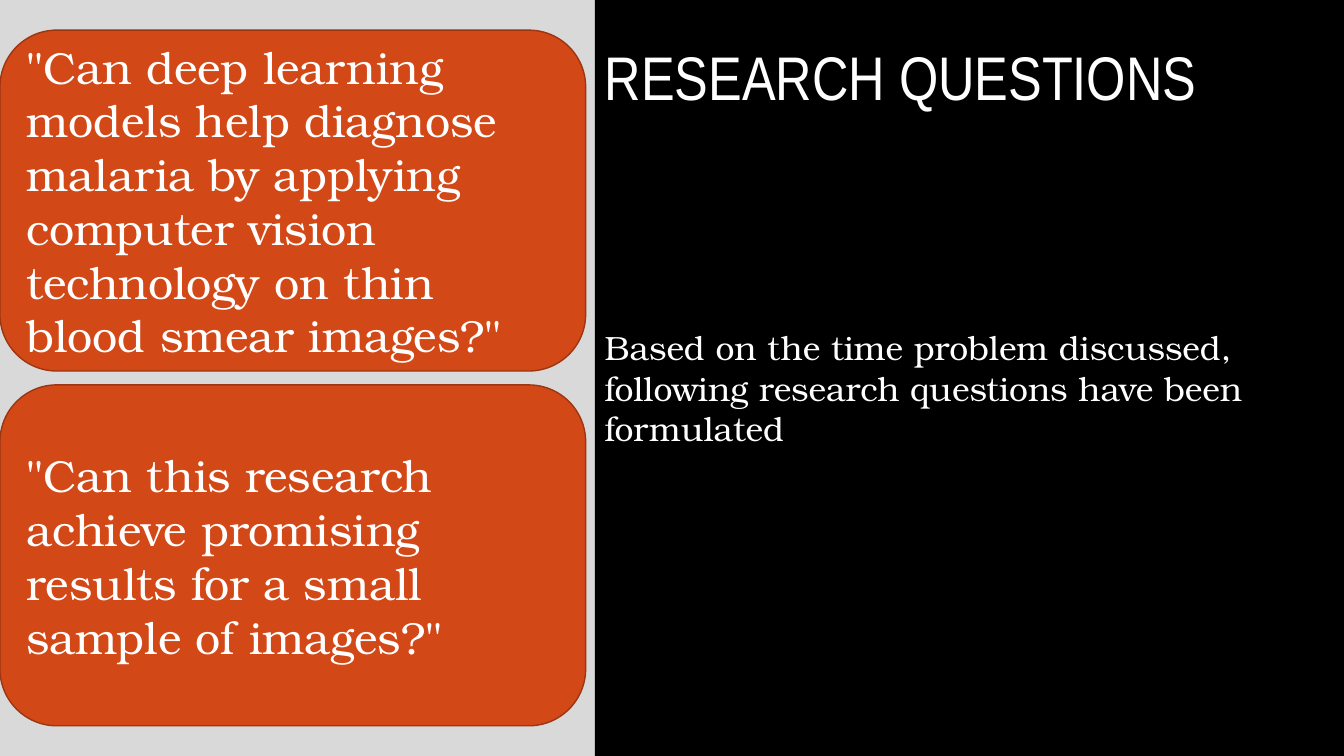
"""Build the research questions slide."""
from dataclasses import dataclass

from pptx import Presentation
from pptx.dml.color import RGBColor
from pptx.enum import shapes, text
from pptx.slide import Slide
from pptx.util import Cm, Pt

BLACK = RGBColor(0x00, 0x00, 0x00)
WHITE = RGBColor(0xFF, 0xFF, 0xFF)
GREY = RGBColor(0xD9, 0xD9, 0xD9)
ORANGE = RGBColor(0xD3, 0x48, 0x17)
RUST = RGBColor(0x9C, 0x35, 0x11)
SERIF = "TeX Gyre Bonum"
PAGE_WIDTH, PAGE_HEIGHT = 33.87, 19.05
PANEL_LEFT, TITLE_HEIGHT = 14.99, 4.06
CARD_TOP, CARD_WIDTH, CARD_HEIGHT, CARD_PITCH = 0.76, 14.76, 8.59, 8.94
QUESTIONS = (
    '"Can deep learning models help diagnose malaria by applying '
    'computer vision technology on thin blood smear images?"',
    '"Can this research achieve promising results for a small sample of images?"',
)


@dataclass
class Panel:
    """A filled shape with one paragraph, measured in centimetres."""
    words: str
    left: float
    top: float
    width: float
    height: float
    size: int
    font: str = SERIF
    fill: RGBColor = BLACK
    outline: RGBColor | None = None
    kind: shapes.MSO_SHAPE = shapes.MSO_SHAPE.RECTANGLE
    anchor: text.MSO_ANCHOR = text.MSO_ANCHOR.MIDDLE
    inset_top: float = 0.13
    line_spacing: float = 1.0


def draw_panel(page: Slide, panel: Panel) -> None:
    """Draw one panel and its text."""
    box = page.shapes.add_shape(panel.kind, Cm(panel.left), Cm(panel.top),
                                Cm(panel.width), Cm(panel.height))
    box.shadow.inherit = False
    box.fill.solid()
    box.fill.fore_color.rgb = panel.fill
    if panel.outline is None:
        box.line.fill.background()
    else:
        box.line.color.rgb = panel.outline
        box.line.width = Pt(1)
    frame = box.text_frame
    para = frame.paragraphs[0]
    span = para.add_run()
    span.text = panel.words
    span.font.color.rgb = WHITE
    formats = (
        (frame, {"word_wrap": True, "vertical_anchor": panel.anchor,
                 "margin_top": Cm(panel.inset_top)}),
        (para, {"alignment": text.PP_ALIGN.LEFT,
                "line_spacing": panel.line_spacing}),
        (span.font, {"name": panel.font, "size": Pt(panel.size)}),
    )
    for target, values in formats:
        for name, value in values.items():
            setattr(target, name, value)


def main() -> None:
    """Create the deck and save it."""
    deck = Presentation()
    deck.slide_width, deck.slide_height = Cm(PAGE_WIDTH), Cm(PAGE_HEIGHT)
    page = deck.slides.add_slide(deck.slide_layouts[6])
    page.background.fill.solid()
    page.background.fill.fore_color.rgb = GREY
    panel_width = PAGE_WIDTH - PANEL_LEFT
    panels = [
        Panel("RESEARCH QUESTIONS", PANEL_LEFT, 0, panel_width, TITLE_HEIGHT, 44,
              font="Arial Narrow", line_spacing=0.9),
        Panel("Based on the time problem discussed, following research questions "
              "have been formulated", PANEL_LEFT, TITLE_HEIGHT, panel_width,
              PAGE_HEIGHT - TITLE_HEIGHT, 24, anchor=text.MSO_ANCHOR.TOP,
              inset_top=4.19),
    ]
    panels += [
        Panel(question, 0, CARD_TOP + index * CARD_PITCH, CARD_WIDTH, CARD_HEIGHT, 32,
              fill=ORANGE, outline=RUST, kind=shapes.MSO_SHAPE.ROUNDED_RECTANGLE)
        for index, question in enumerate(QUESTIONS)
    ]
    for panel in panels:
        draw_panel(page, panel)
    deck.save("out.pptx")


if __name__ == "__main__":
    main()
